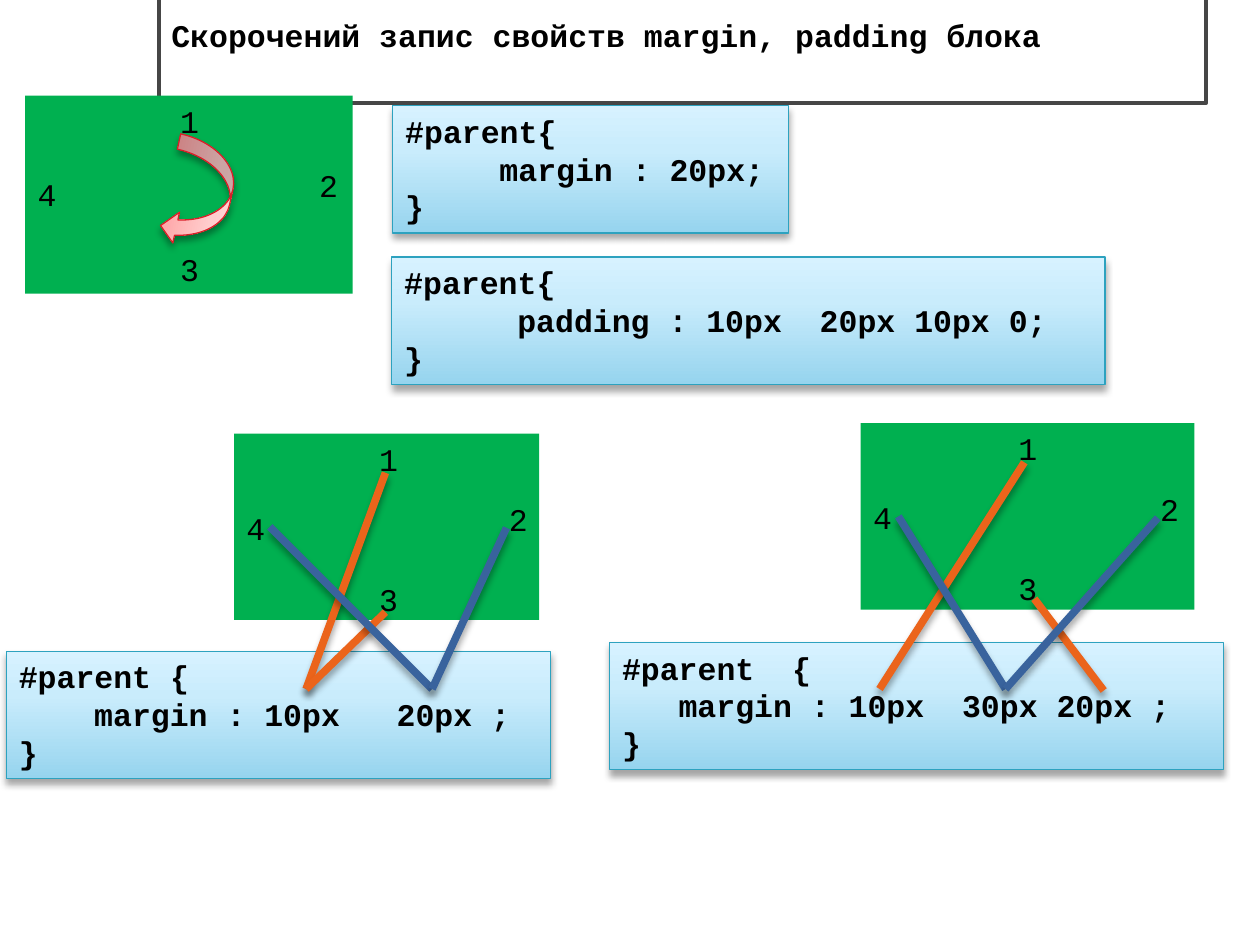
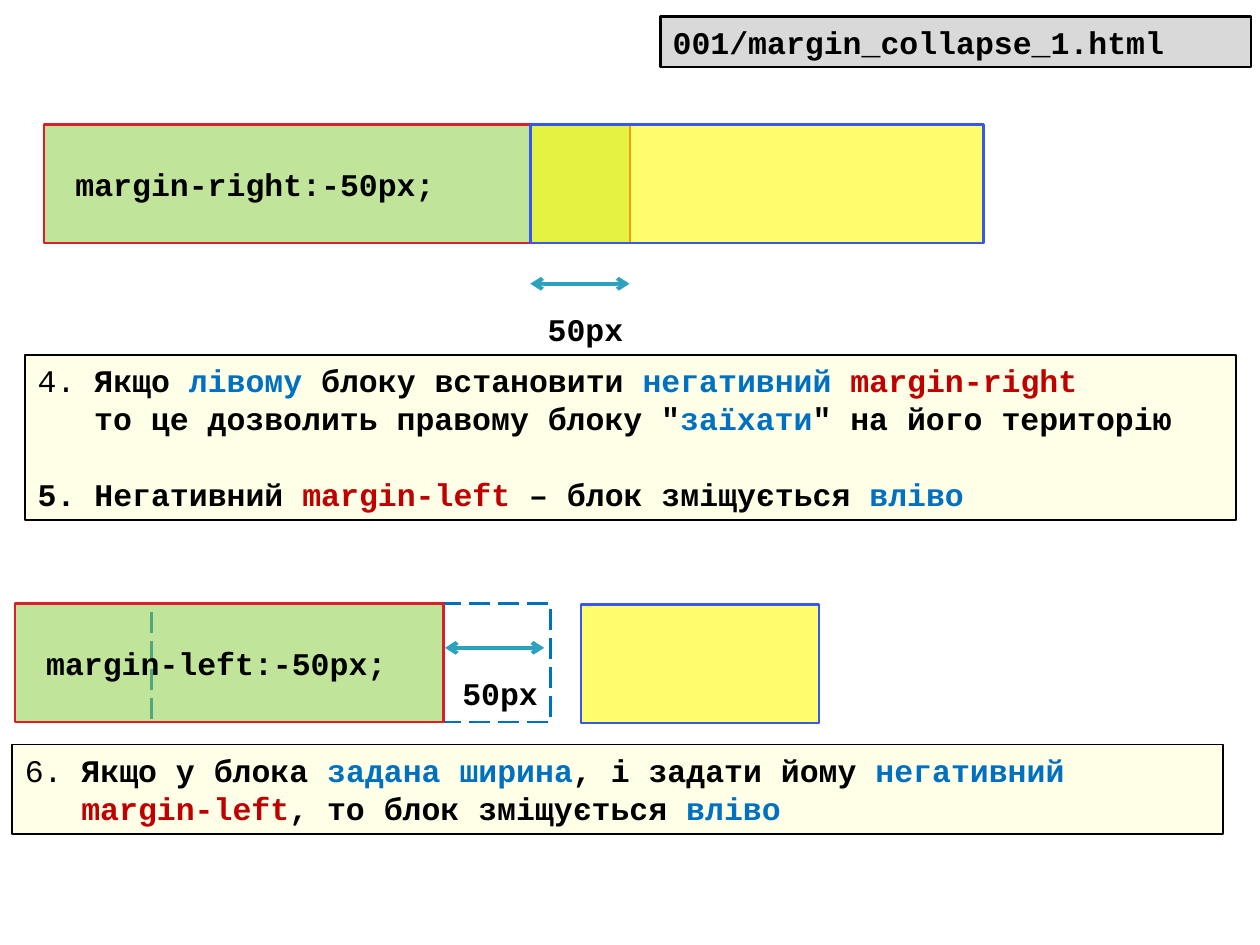
from dataclasses import dataclass
from typing import Any, Optional

import lxml.etree
import pptx
import pptx.dml.color
import pptx.enum.dml
import pptx.enum.shapes
import pptx.enum.text
import pptx.oxml.ns
import pptx.util

Cm, Pt = pptx.util.Cm, pptx.util.Pt
qn = pptx.oxml.ns.qn
Shape = pptx.enum.shapes.MSO_SHAPE
Anchor = pptx.enum.text.MSO_ANCHOR
AutoSize = pptx.enum.text.MSO_AUTO_SIZE
Align = pptx.enum.text.PP_ALIGN

COLORS = {
    "text": "000000", "frame": "464646", "panel": "00B050", "teal": "2DA2BF",
    "orange": "EB641B", "navy": "39639D", "red": "DA1F28", "blue": "3756F2",
    "green": "92D050", "yellow": "FFFF00", "gray": "D9D9D9",
    "accent": "0070C0", "keyword": "C00000",
}
GRADIENTS = {
    "sky": {0: "96D4EE", 65: "C9ECFC", 100: "D7F2FF"},
    "rose": {0: "FF9294", 65: "FFCDCD", 100: "FFDCDC"},
}
FONT = {"name": "Courier New", "size": Pt(18)}
CHAR = 0.38
ROW = 2.39
DIGIT_SPOTS = ((0.435, 0), (0.86, 0.325), (0.435, 0.75), (0, 0.37))


@dataclass
class Run:
    text: str
    color: str = "text"
    bold: bool = True


@dataclass
class Line:
    runs: list[Run]
    indent: int = 0
    before: float = 0


@dataclass
class Box:
    left: float
    top: float
    width: float
    height: float
    fill: Optional[str] = None
    line: Optional[str] = None
    weight: float = 1.5
    alpha: int = 100
    lines: tuple[Line, ...] = ()
    anchor: Any = Anchor.TOP
    shadow: bool = False
    dash: Any = None
    geometry: Any = Shape.RECTANGLE
    rotation: float = 0


@dataclass
class Link:
    start: tuple[float, float]
    end: tuple[float, float]
    color: str
    weight: float = 4.33
    shadow: bool = True
    arrows: bool = False


def rgb(name: str) -> pptx.dml.color.RGBColor:
    return pptx.dml.color.RGBColor.from_string(COLORS[name])


def apply(target: Any, values: dict[str, Any]) -> None:
    for key, value in values.items():
        setattr(target, key, value)


def add_color(parent: Any, value: str, alpha: int = 100) -> None:
    color = lxml.etree.SubElement(parent, qn("a:srgbClr"), val=value)
    if alpha < 100:
        lxml.etree.SubElement(color, qn("a:alpha"), val=str(alpha * 1000))


def set_effects(sp: Any, shadow: bool) -> None:
    spPr = sp._element.spPr
    effects = spPr.find(qn("a:effectLst"))
    if effects is None:
        effects = lxml.etree.SubElement(spPr, qn("a:effectLst"))
    if shadow:
        outer = lxml.etree.SubElement(
            effects, qn("a:outerShdw"), blurRad=str(Pt(4)), dist=str(Pt(3)),
            dir="5400000", rotWithShape="0")
        add_color(outer, COLORS["text"], 35)


def set_fill(sp: Any, name: Optional[str], alpha: int) -> None:
    if name is None:
        sp.fill.background()
    elif name in GRADIENTS:
        sp.fill.gradient()
        sp.fill.gradient_angle = 90
        stops = sp._element.spPr.find(qn("a:gradFill")).find(qn("a:gsLst"))
        for stop in list(stops):
            stops.remove(stop)
        for place, value in GRADIENTS[name].items():
            stop = lxml.etree.SubElement(stops, qn("a:gs"), pos=str(place * 1000))
            add_color(stop, value)
    else:
        sp.fill.solid()
        sp.fill.fore_color.rgb = rgb(name)
        if alpha < 100:
            color = sp._element.spPr.find(qn("a:solidFill"))[0]
            lxml.etree.SubElement(color, qn("a:alpha"), val=str(alpha * 1000))


def set_line(sp: Any, color: str, weight: float) -> None:
    sp.line.color.rgb = rgb(color)
    sp.line.width = Pt(weight)


def write(tf: Any, lines: tuple[Line, ...]) -> None:
    for i, line in enumerate(lines):
        p = tf.paragraphs[0] if i == 0 else tf.add_paragraph()
        apply(p, {"alignment": Align.LEFT, "space_before": Pt(line.before)})
        if line.indent:
            p._p.get_or_add_pPr().set("marL", str(Cm(line.indent * CHAR)))
        for run in line.runs:
            r = p.add_run()
            r.text = run.text
            apply(r.font, {**FONT, "bold": run.bold})
            r.font.color.rgb = rgb(run.color)


def code(*rows: tuple[int, str]) -> tuple[Line, ...]:
    return tuple(Line([Run(text)], indent) for indent, text in rows)


def rule(declaration: str, indent: int, selector: str = "#parent{") -> tuple[Line, ...]:
    return code((0, selector), (indent, declaration), (0, "}"))


def add_box(slide: Any, box: Box) -> None:
    sp = slide.shapes.add_shape(
        box.geometry, Cm(box.left), Cm(box.top), Cm(box.width), Cm(box.height))
    sp.shadow.inherit = False
    sp.rotation = box.rotation
    set_fill(sp, box.fill, box.alpha)
    if box.line:
        set_line(sp, box.line, box.weight)
    else:
        sp.line.fill.background()
    if box.dash:
        sp.line.dash_style = box.dash
    set_effects(sp, box.shadow)
    apply(sp.text_frame, {"word_wrap": True, "vertical_anchor": box.anchor})
    write(sp.text_frame, box.lines)


def add_label(slide: Any, left: float, top: float, width: float, height: float,
              run: Run) -> None:
    sp = slide.shapes.add_textbox(Cm(left), Cm(top), Cm(width), Cm(height))
    apply(sp.text_frame, {"word_wrap": False, "auto_size": AutoSize.SHAPE_TO_FIT_TEXT})
    write(sp.text_frame, (Line([run]),))


def add_link(slide: Any, link: Link) -> None:
    ends = [Cm(value) for value in (*link.start, *link.end)]
    sp = slide.shapes.add_connector(pptx.enum.shapes.MSO_CONNECTOR.STRAIGHT, *ends)
    set_line(sp, link.color, link.weight)
    if link.arrows:
        ln = sp._element.spPr.find(qn("a:ln"))
        for end in ("a:headEnd", "a:tailEnd"):
            lxml.etree.SubElement(ln, qn(end), type="arrow")
    set_effects(sp, link.shadow)


def add_panel(slide: Any, left: float, top: float, width: float, height: float) -> None:
    add_box(slide, Box(left, top, width, height, "panel"))
    for number, (x, y) in enumerate(DIGIT_SPOTS, 1):
        add_label(slide, left + x * width, top + y * height, 0.9, 0.85,
                  Run(str(number), bold=False))


def add_code(slide: Any, left: float, top: float, width: float,
             lines: tuple[Line, ...]) -> None:
    add_box(slide, Box(left, top, width, 2.57, "sky", "teal", 0.75,
                       lines=lines, shadow=True))


def add_gap(slide: Any, left: float, top: float) -> None:
    add_link(slide, Link((left, top), (left + 2, top), "teal", 2.25, False, True))
    add_label(slide, left + 0.1, top + 0.4, 2.06, 1.02, Run("50px"))


def add_note(slide: Any, left: float, top: float, height: float,
             *lines: Line) -> None:
    add_box(slide, Box(left, top, 24.41, height, "yellow", "text", 1, 9, lines))


def green_block(left: float, top: float, width: float, text: str) -> Box:
    return Box(left, top, width, ROW, "green", "red", alpha=57,
               lines=code((0, text)), anchor=Anchor.MIDDLE)


def yellow_block(left: float, top: float, width: float) -> Box:
    return Box(left, top, width, ROW, "yellow", "blue", alpha=57)


def build_shorthand(prs: Any) -> None:
    slide = prs.slides.add_slide(prs.slide_layouts[5])
    sp = slide.shapes.title
    apply(sp, {"left": Cm(3.2), "top": Cm(0.13), "width": Cm(21.11), "height": Cm(1.02)})
    set_line(sp, "frame", 2.25)
    apply(sp.text_frame, {
        "word_wrap": True, "vertical_anchor": Anchor.MIDDLE,
        "auto_size": AutoSize.SHAPE_TO_FIT_TEXT,
        "margin_top": Cm(0.66), "margin_bottom": Cm(0.54)})
    write(sp.text_frame, code((0, "Скорочений запис свойств margin, padding блока")))

    add_code(slide, 7.92, 2.13, 7.98, rule("margin : 20px;", 5))
    add_code(slide, 7.9, 5.18, 14.38, rule("padding : 10px  20px 10px 0;", 6))
    add_panel(slide, 0.51, 1.93, 6.6, 3.99)
    add_box(slide, Box(2.92, 3.28, 2.21, 1.27, "rose", "red", 0.75, shadow=True,
                       geometry=Shape.CURVED_DOWN_ARROW, rotation=102.4))

    add_panel(slide, 4.72, 8.74, 6.15, 3.76)
    add_code(slide, 0.13, 13.13, 10.97, rule("margin : 10px   20px ;", 4, "#parent {"))
    add_panel(slide, 17.35, 8.53, 6.73, 3.76)
    add_code(slide, 12.29, 12.95, 12.37,
             rule("margin : 10px  30px 20px ;", 3, "#parent  {"))
    for link in (
        Link((7.77, 9.53), (6.17, 13.89), "orange"),
        Link((7.77, 12.34), (6.17, 13.89), "orange"),
        Link((5.44, 10.62), (8.71, 13.89), "navy"),
        Link((10.21, 10.64), (8.71, 13.89), "navy"),
        Link((20.65, 9.32), (17.73, 13.89), "orange"),
        Link((20.85, 12.07), (22.25, 13.92), "orange"),
        Link((18.11, 10.41), (20.27, 13.89), "navy"),
        Link((23.34, 10.44), (20.27, 13.89), "navy"),
    ):
        add_link(slide, link)


def build_negative_margins(prs: Any) -> None:
    slide = prs.slides.add_slide(prs.slide_layouts[6])
    add_box(slide, green_block(0.89, 2.51, 11.81, " margin-right:-50px;"))
    add_box(slide, yellow_block(10.69, 2.51, 9.14))
    add_gap(slide, 10.69, 5.72)
    add_note(
        slide, 0.51, 7.16, 3.33,
        Line([Run("4. ", bold=False), Run("Якщо "), Run("лівому", "accent"),
              Run(" блоку встановити "), Run("негативний ", "accent"),
              Run("margin-right", "keyword")]),
        Line([Run('то це дозволить правому блоку "'), Run("заїхати", "accent"),
              Run('" на його територію')], 3),
        Line([Run("5. Негативний "), Run("margin-left", "keyword"),
              Run(" – блок зміщується "), Run("вліво", "accent")], before=21.6))
    add_note(
        slide, 0.25, 15.01, 1.8,
        Line([Run("6. ", bold=False), Run("Якщо у блока "),
              Run("задана ширина", "accent"), Run(", і задати йому "),
              Run("негативний", "accent")]),
        Line([Run("margin-left", "keyword"), Run(", то блок зміщується "),
              Run("вліво", "accent")], 3))
    add_box(slide, Box(3.05, 12.17, 8.05, ROW, line="accent",
                       dash=pptx.enum.dml.MSO_LINE.LONG_DASH))
    add_box(slide, yellow_block(11.71, 12.19, 4.8))
    add_box(slide, green_block(0.3, 12.17, 8.64, " margin-left:-50px;"))
    add_gap(slide, 8.97, 13.06)
    add_box(slide, Box(13.31, 0.33, 11.91, 1.02, "gray", "text",
                       lines=code((0, "001/margin_collapse_1.html"))))


def main() -> None:
    prs = pptx.Presentation()
    apply(prs, {"slide_width": Cm(25.4), "slide_height": Cm(19.05)})
    build_shorthand(prs)
    build_negative_margins(prs)
    prs.save("out.pptx")


if __name__ == "__main__":
    main()
